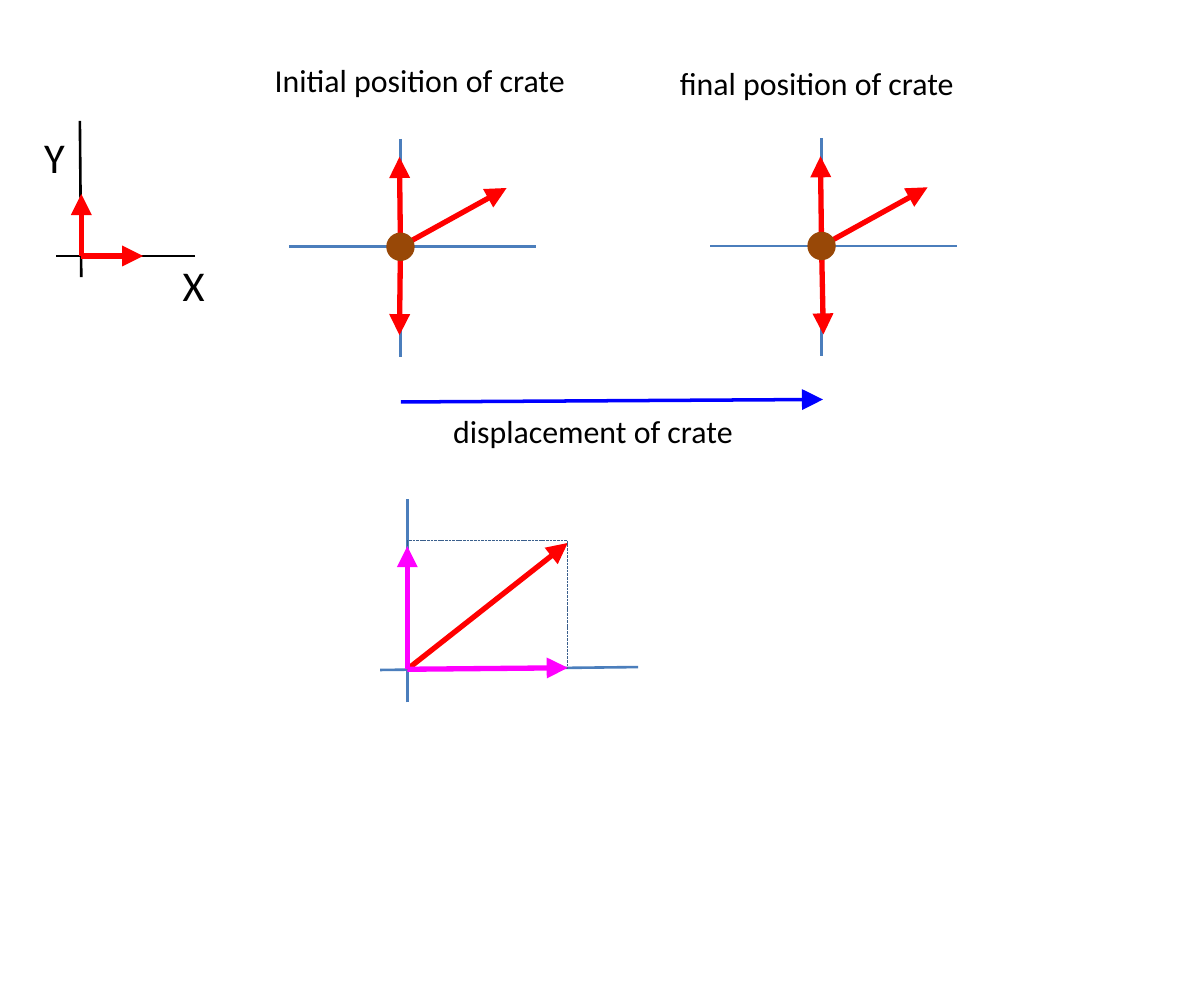
from pptx import Presentation
from pptx.dml.color import RGBColor
from pptx.enum.dml import MSO_LINE
from pptx.enum.shapes import MSO_CONNECTOR as Link, MSO_SHAPE as Shape
from pptx.enum.text import MSO_AUTO_SIZE as AutoSize
from pptx.oxml.ns import qn
from pptx.util import Pt
from lxml.etree import SubElement

BLACK = RGBColor(0x00, 0x00, 0x00)
RED = RGBColor(0xFF, 0x00, 0x00)
BLUE = RGBColor(0x00, 0x00, 0xFF)
MAGENTA = RGBColor(0xFF, 0x00, 0xFF)
AXIS_BLUE = RGBColor(0x4B, 0x7E, 0xBC)
DASH_BLUE = RGBColor(0x3A, 0x5F, 0x8C)
BROWN = RGBColor(0x98, 0x48, 0x07)

AXIS_WIDTH = 0.75
FORCE_WIDTH = 1.5


def add_axis(shapes, start, end, color, width=AXIS_WIDTH):
    axis = shapes.add_connector(Link.STRAIGHT, *map(Pt, (*start, *end)))
    axis.line.color.rgb = color
    axis.line.width = Pt(width)
    SubElement(axis._element.spPr, qn("a:effectLst"))
    return axis


def add_vector(shapes, start, end, color, width=FORCE_WIDTH):
    vector = add_axis(shapes, start, end, color, width)
    SubElement(vector.line._get_or_add_ln(), qn("a:tailEnd"), type="triangle")


def add_label(shapes, wording, box, size):
    label = shapes.add_textbox(*map(Pt, box))
    frame = label.text_frame
    frame_format = {"word_wrap": False, "auto_size": AutoSize.SHAPE_TO_FIT_TEXT}
    for name, value in frame_format.items():
        setattr(frame, name, value)
    caption = frame.paragraphs[0]
    caption.text = wording
    for name, value in {"name": "Calibri", "size": Pt(size)}.items():
        setattr(caption.font, name, value)
    caption.font.color.rgb = BLACK


def draw_reference_axes(shapes, box):
    left, top, width, height = box
    origin = x, y = left + 7.2, top + 38.2
    add_axis(shapes, (x - 0.4, top), (x, top + height), BLACK)
    add_axis(shapes, (left + width, y), (left, y), BLACK)
    add_vector(shapes, origin, (x + 17.5, y), RED)
    add_vector(shapes, origin, (x, y - 17.5), RED)
    add_label(shapes, "X", (left + 28.8, top + 35.6, 20.9, 21.6), 12)
    add_label(shapes, "Y", (left - 10.4, top - 0.6, 20.9, 21.6), 12)


def draw_crate_forces(shapes, box, down_drift):
    left, top, width, height = box
    crate = x, y = left + 31.5, top + 30.5
    forces = shapes.add_group_shape().shapes
    add_axis(forces, (left, y), (left + width, y), AXIS_BLUE)
    add_axis(forces, (x, top), (x, top + height), AXIS_BLUE)
    for dx, dy in ((30, -16.6), (down_drift, 25), (-0.3, -25.4)):
        add_vector(forces, crate, (x + dx, y + dy), RED)
    diameter = 6
    dot = forces.add_shape(
        Shape.OVAL, *map(Pt, (x - diameter / 2, y - diameter / 2, diameter, diameter))
    )
    dot.shadow.inherit = False
    dot.fill.solid()
    dot.fill.fore_color.rgb = BROWN
    dot.line.color.rgb = BROWN
    dot.line.width = Pt(2)


def draw_displacement(shapes, box):
    left, top, width, height = box
    add_vector(shapes, (left, top + 0.7), (left + width, top), BLUE, 1)
    add_label(shapes, "displacement of crate", (left + 7.7, top, 95, height), 9)


def draw_components(shapes, box):
    left, top, width, height = box
    origin = x, y = left + 7.7, top + 48.1
    reach, rise = 45.4, 36
    add_axis(shapes, (left, y + 0.2), (left + width, y - 0.6), AXIS_BLUE)
    add_axis(shapes, (x, top + height), (x, top), AXIS_BLUE)
    add_vector(shapes, origin, (x + reach, y - rise + 0.3), RED)
    projection = shapes.add_shape(
        Shape.RECTANGLE, *map(Pt, (x, y - rise - 0.3, reach, rise))
    )
    projection.shadow.inherit = False
    projection.fill.background()
    projection.line.color.rgb = DASH_BLUE
    projection.line.width = Pt(0.25)
    projection.line.dash_style = MSO_LINE.SQUARE_DOT
    add_vector(shapes, origin, (x + reach, y - 0.4), MAGENTA)
    add_vector(shapes, origin, (x, y - 34.8), MAGENTA)


def main():
    deck = Presentation()
    deck.slide_width, deck.slide_height = Pt(340.56), Pt(283.68)
    shapes = deck.slides.add_slide(deck.slide_layouts[6]).shapes

    draw_reference_axes(shapes, (15.8, 34.2, 39.4, 44.2))
    draw_crate_forces(shapes, (81.8, 39.3, 69.8, 61.7), -0.3)
    draw_crate_forces(shapes, (200.9, 39.1, 69.8, 61.7), 0.5)
    add_label(shapes, "Initial position of crate", (70.6, 13.7, 98, 18), 9)
    add_label(shapes, "final position of crate", (185.2, 14.4, 95, 18), 9)
    draw_displacement(shapes, (113.4, 113, 119.4, 18))
    draw_components(shapes, (107.5, 141.2, 73, 57.5))

    deck.save("out.pptx")


if __name__ == "__main__":
    main()
